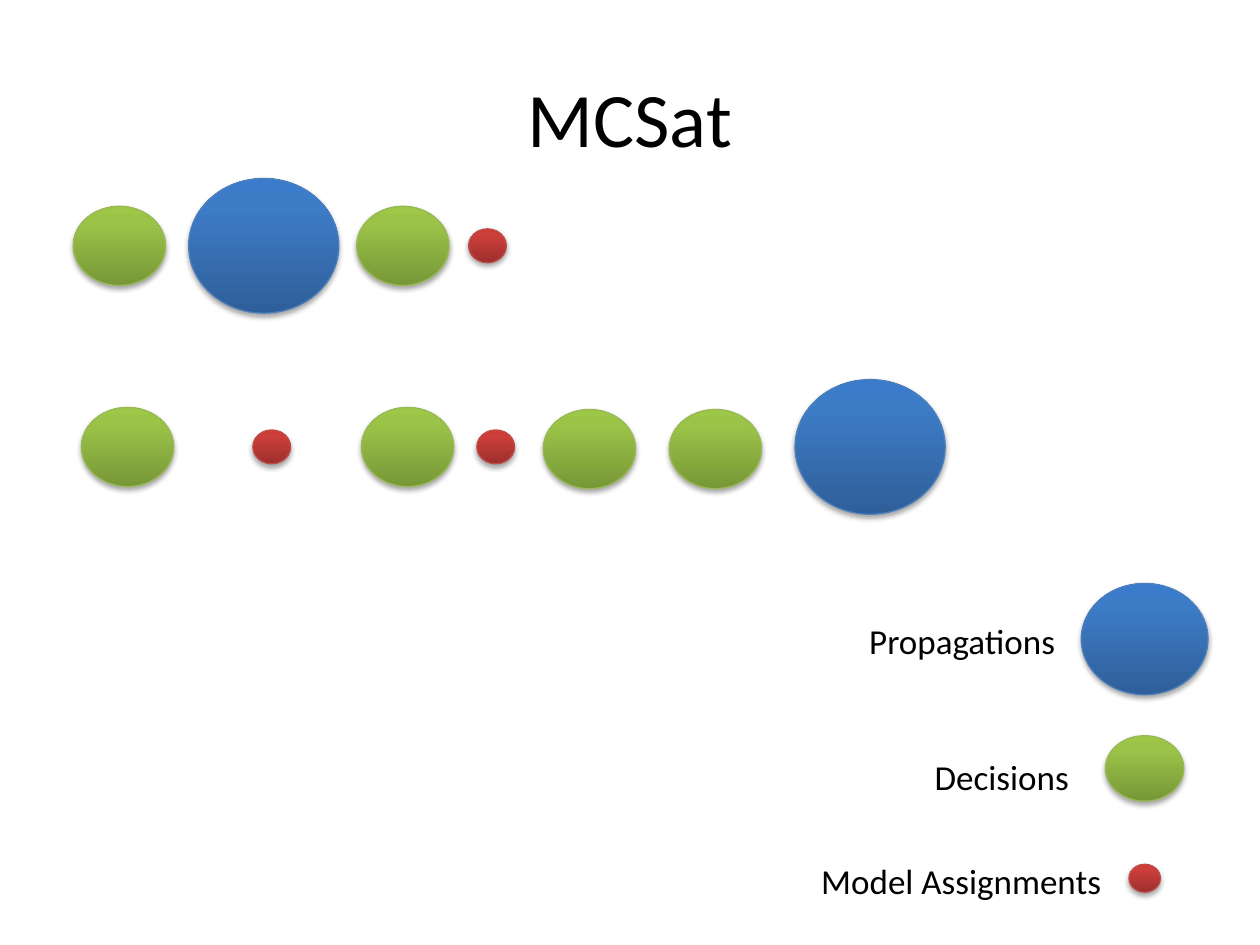
from dataclasses import dataclass

import lxml.etree
import pptx
import pptx.dml.color
import pptx.enum.shapes
import pptx.enum.text
import pptx.oxml.ns
import pptx.util

Pt = pptx.util.Pt
qn = pptx.oxml.ns.qn
ALIGN = pptx.enum.text.PP_ALIGN
ANCHOR = pptx.enum.text.MSO_ANCHOR

FONT = "Calibri"
COLOURS = {
    "text": "000000",
    "shadow": "000000",
    "blue_dark": "2F5F99", "blue_mid": "3D7CC7", "blue_light": "3A7CCB", "blue_line": "4B7EBC",
    "green_dark": "779737", "green_mid": "9BC348", "green_light": "9DC746", "green_line": "98B955",
    "red_dark": "9C2F2D", "red_mid": "CB3E3A", "red_light": "CE3B37", "red_line": "BF4C48",
}


@dataclass(frozen=True)
class Kind:
    """A kind of trail element: its colour family and its sizes in points."""
    hue: str
    trail_size: tuple[float, float]
    legend_size: tuple[float, float]


@dataclass(frozen=True)
class Ball:
    kind: Kind
    x: float  # centre
    y: float


@dataclass(frozen=True)
class LegendEntry:
    ball: Ball
    label: str
    left: float
    top: float
    width: float


PROPAGATION = Kind("blue", (85.8, 77), (72.4, 63.6))
DECISION = Kind("green", (52.8, 45.2), (44.8, 37.4))
ASSIGNMENT = Kind("red", (21.6, 19.4), (18, 16))

FIRST_Y, SECOND_Y, LEGEND_X = 140.5, 255.4, 654.1
TRAILS = [
    [
        Ball(PROPAGATION, 150.7, FIRST_Y),
        Ball(DECISION, 68.2, FIRST_Y),
        Ball(ASSIGNMENT, 278.6, FIRST_Y),
        Ball(DECISION, 230.2, FIRST_Y),
    ],
    [
        Ball(DECISION, 72.9, SECOND_Y),
        Ball(ASSIGNMENT, 155.3, SECOND_Y),
        Ball(ASSIGNMENT, 283.3, SECOND_Y),
        Ball(DECISION, 232.9, SECOND_Y),
        Ball(DECISION, 408.8, SECOND_Y + 1.2),
        Ball(DECISION, 336.8, SECOND_Y + 1.2),
        Ball(PROPAGATION, 497.2, SECOND_Y),
    ],
]
LEGEND = [
    LegendEntry(Ball(PROPAGATION, LEGEND_X, 365.2), "Propagations", 489.6, 350.6, 121.7),
    LegendEntry(Ball(DECISION, LEGEND_X, 439.1), "Decisions", 527, 428.4, 92.2),
    LegendEntry(Ball(ASSIGNMENT, LEGEND_X, 501.9), "Model Assignments", 462.2, 487.4, 176.4),
]


def add_colour(parent, name: str):
    return lxml.etree.SubElement(parent, qn("a:srgbClr"), val=COLOURS[name])


def add_ball(shapes, ball: Ball, size: tuple[float, float]) -> None:
    """Draw a shaded ellipse around the centre of the ball."""
    width, height = size
    hue = ball.kind.hue
    ellipse = shapes.add_shape(
        pptx.enum.shapes.MSO_SHAPE.OVAL,
        Pt(ball.x - width / 2), Pt(ball.y - height / 2), Pt(width), Pt(height))
    ellipse.line.color.rgb = pptx.dml.color.RGBColor.from_string(COLOURS[f"{hue}_line"])
    ellipse.line.width = Pt(0.75)

    # Three-stop gradient, dark at the bottom
    ellipse.fill.gradient()
    ellipse.fill.gradient_angle = 90
    properties = ellipse.element.spPr
    stops = properties.find(qn("a:gradFill")).find(qn("a:gsLst"))
    for stop in list(stops):
        stops.remove(stop)
    for percent, shade in ((0, "dark"), (80, "mid"), (100, "light")):
        stop = lxml.etree.SubElement(stops, qn("a:gs"), pos=str(percent * 1000))
        add_colour(stop, f"{hue}_{shade}")

    # Soft shadow below
    ellipse.shadow.inherit = False
    shadow = lxml.etree.SubElement(
        properties.find(qn("a:effectLst")), qn("a:outerShdw"),
        blurRad=str(Pt(3.1)), dist=str(Pt(1.8)), dir="5400000", rotWithShape="0")
    lxml.etree.SubElement(add_colour(shadow, "shadow"), qn("a:alpha"), val="35000")


def add_text(shapes, text: str, *, left: float, top: float, width: float, height: float,
             size: float, align=ALIGN.LEFT, anchor=ANCHOR.TOP, wrap: bool = False) -> None:
    box = shapes.add_textbox(Pt(left), Pt(top), Pt(width), Pt(height))
    frame = box.text_frame
    frame.word_wrap = wrap
    frame.vertical_anchor = anchor
    para = frame.paragraphs[0]
    para.alignment = align
    span = para.add_run()
    span.text = text
    span.font.name = FONT
    span.font.size = Pt(size)
    span.font.color.rgb = pptx.dml.color.RGBColor.from_string(COLOURS["text"])


def main() -> None:
    deck = pptx.Presentation()
    deck.slide_width, deck.slide_height = Pt(720), Pt(540)
    page = deck.slides.add_slide(deck.slide_layouts[6])

    # Title
    add_text(page.shapes, "MCSat", left=36, top=21.6, width=648, height=90, size=44,
             align=ALIGN.CENTER, anchor=ANCHOR.MIDDLE, wrap=True)

    # Trails, one group each
    for trail in TRAILS:
        group = page.shapes.add_group_shape()
        for ball in trail:
            add_ball(group.shapes, ball, ball.kind.trail_size)

    # Legend
    for entry in LEGEND:
        add_text(page.shapes, entry.label, left=entry.left, top=entry.top,
                 width=entry.width, height=31.5, size=20)
        add_ball(page.shapes, entry.ball, entry.ball.kind.legend_size)

    deck.save("out.pptx")


if __name__ == "__main__":
    main()
